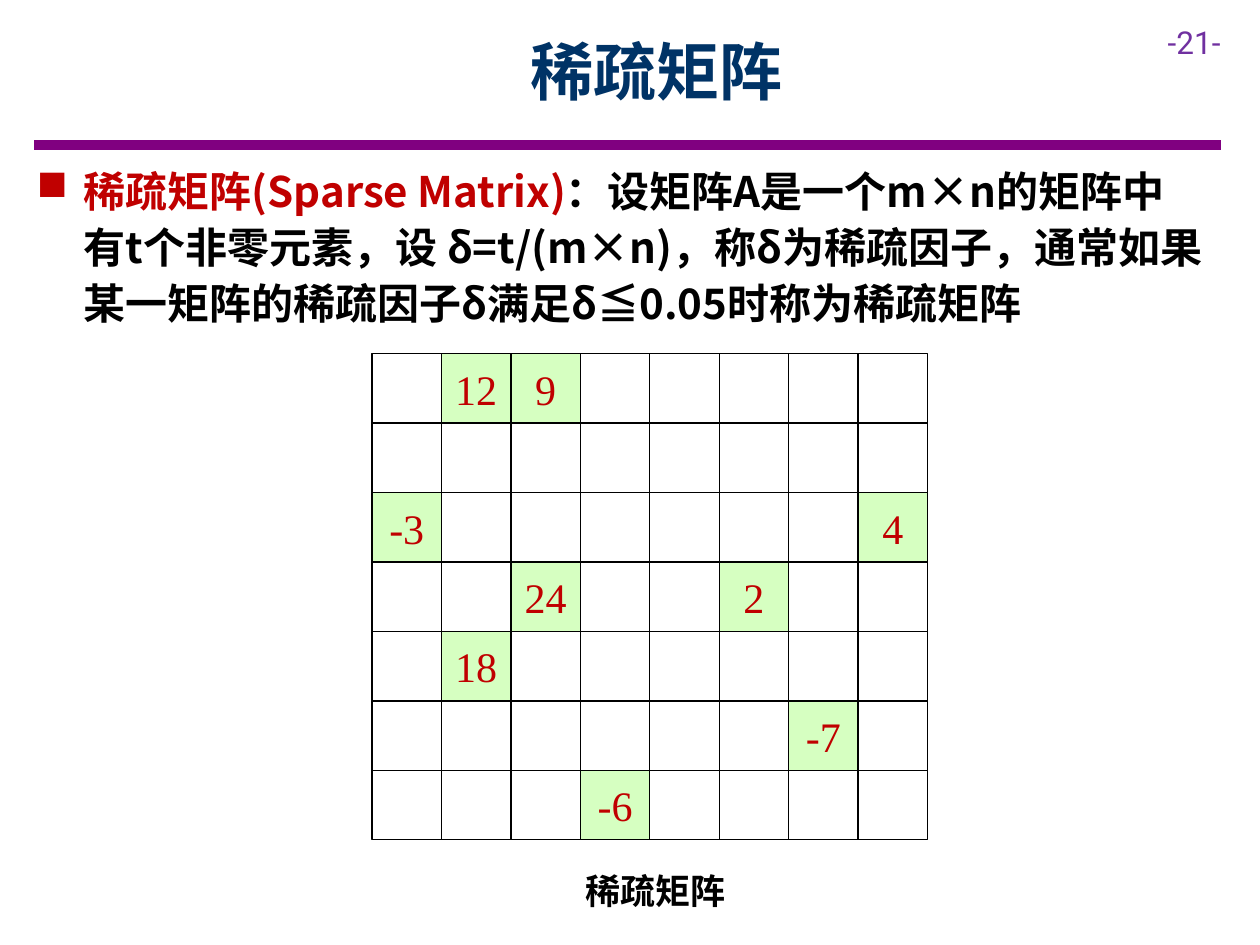
from lxml import etree
from pptx import Presentation
from pptx.dml.color import RGBColor
from pptx.enum.shapes import MSO_CONNECTOR, MSO_SHAPE
from pptx.enum.text import MSO_ANCHOR, PP_ALIGN
from pptx.oxml.ns import qn
from pptx.util import Cm, Pt

RECTANGLE = MSO_SHAPE.RECTANGLE
STRAIGHT = MSO_CONNECTOR.STRAIGHT
MIDDLE = MSO_ANCHOR.MIDDLE
LEFT, CENTER = PP_ALIGN.LEFT, PP_ALIGN.CENTER

BLACK = RGBColor(0x00, 0x00, 0x00)
NAVY = RGBColor(0x00, 0x33, 0x66)
PURPLE = RGBColor(0x80, 0x00, 0x80)
VIOLET = RGBColor(0x70, 0x30, 0xA0)
RED = RGBColor(0xC0, 0x00, 0x00)
GREEN = RGBColor(0x99, 0xFF, 0x66)

CHINESE_FONT = "Noto Sans CJK SC"
NUMBER_FONT = "Times New Roman"
PAGE_FONT = "Roboto"

MATRIX_ROWS, MATRIX_COLUMNS = 7, 8
NONZERO = {
    (0, 1): 12, (0, 2): 9,
    (2, 0): -3, (2, 7): 4,
    (3, 2): 24, (3, 5): 2,
    (4, 1): 18,
    (5, 6): -7,
    (6, 3): -6,
}


def add_span(para, text, size, color, font=CHINESE_FONT, bold=False):
    span = para.add_run()
    span.text = text
    span.font.size = Pt(size)
    span.font.bold = bold
    span.font.color.rgb = color
    span.font.name = font
    east_asian = etree.SubElement(span.font._element, qn("a:ea"))
    east_asian.set("typeface", font)


def set_insets(frame, horizontal, vertical):
    frame.margin_left = frame.margin_right = horizontal
    frame.margin_top = frame.margin_bottom = vertical


def add_text_box(page, left, top, width, height, align=LEFT, wrap=True):
    """Return the new box's text frame and its first paragraph."""
    frame = page.shapes.add_textbox(left, top, width, height).text_frame
    frame.word_wrap = wrap
    set_insets(frame, Cm(0.23), Cm(0.11))
    para = frame.paragraphs[0]
    para.alignment = align
    return frame, para


def add_square_bullet(para, indent, color):
    properties = para._p.get_or_add_pPr()
    properties.set("marL", str(indent))
    properties.set("indent", str(-indent))
    bullet_color = etree.SubElement(properties, qn("a:buClr"))
    etree.SubElement(bullet_color, qn("a:srgbClr")).set("val", str(color))
    etree.SubElement(properties, qn("a:buChar")).set("char", "■")


def add_header(page, left, top, width, height):
    """Title and page number above a rule along the bottom of the area."""
    bottom = top + height
    rule = page.shapes.add_connector(STRAIGHT, left, bottom, left + width, bottom)
    rule.line.color.rgb = PURPLE
    rule.line.width = Pt(6)
    etree.SubElement(rule._element.spPr, qn("a:effectLst"))

    frame, para = add_text_box(page, left + width - Cm(1.32), top, Cm(2.1), Cm(1.02))
    set_insets(frame, Cm(0.25), Cm(0.13))
    add_span(para, "-21-", 18, VIOLET, PAGE_FONT)

    frame, para = add_text_box(page, left + Cm(2.21), top + Cm(0.23),
                               Cm(20.68), Cm(1.73), CENTER)
    frame.vertical_anchor = MIDDLE
    add_span(para, "稀疏矩阵", 36, NAVY, bold=True)


def add_definition(page, left, top, width, height):
    _, para = add_text_box(page, left, top, width, height)
    para.line_spacing = Pt(32)
    add_square_bullet(para, Cm(0.95), RED)
    add_span(para, "稀疏矩阵(Sparse Matrix)", 24, RED, bold=True)
    add_span(para, "：设矩阵A是一个m×n的矩阵中有t个非零元素，设 δ=t/(m×n)，"
                   "称δ为稀疏因子，通常如果某一矩阵的稀疏因子δ满足δ≦0.05时称为稀疏矩阵",
             24, BLACK, bold=True)


def fill_translucent(shape, color, percent):
    shape.fill.solid()
    shape.fill.fore_color.rgb = color
    color_node = shape._element.spPr.find(qn("a:solidFill")).find(qn("a:srgbClr"))
    etree.SubElement(color_node, qn("a:alpha")).set("val", str(percent * 1000))


def add_cell(page, left, top, size, value):
    cell = page.shapes.add_shape(RECTANGLE, left, top, size, size)
    cell.shadow.inherit = False
    cell.line.color.rgb = BLACK
    cell.line.width = Pt(0.75)
    if value is None:
        cell.fill.background()
        return
    fill_translucent(cell, GREEN, 40)
    frame = cell.text_frame
    frame.vertical_anchor = MIDDLE
    set_insets(frame, Cm(0.25), Cm(0.25))
    para = frame.paragraphs[0]
    para.alignment = CENTER
    add_span(para, str(value), 24, RED, NUMBER_FONT)


def add_matrix(page, left, top, cell_size):
    """Grid of square cells with a caption below it."""
    for row in range(MATRIX_ROWS):
        for column in range(MATRIX_COLUMNS):
            add_cell(page, left + column * cell_size, top + row * cell_size,
                     cell_size, NONZERO.get((row, column)))

    caption_top = top + MATRIX_ROWS * cell_size + Cm(0.18)
    frame, para = add_text_box(page, left + Cm(4.06), caption_top,
                               Cm(3.35), Cm(1.27), wrap=False)
    set_insets(frame, Cm(0.25), Cm(0.13))
    para.line_spacing = Pt(32)
    add_span(para, "稀疏矩阵", 20, BLACK, bold=True)


def main():
    deck = Presentation()
    deck.slide_width, deck.slide_height = Cm(25.4), Cm(19.05)
    page = deck.slides.add_slide(deck.slide_layouts[6])
    add_header(page, Cm(0.69), Cm(0.33), Cm(23.92), Cm(2.59))
    add_definition(page, Cm(0.51), Cm(3.12), Cm(24), Cm(3.66))
    add_matrix(page, Cm(7.5), Cm(7.13), Cm(1.4))
    deck.save("out.pptx")


if __name__ == "__main__":
    main()
